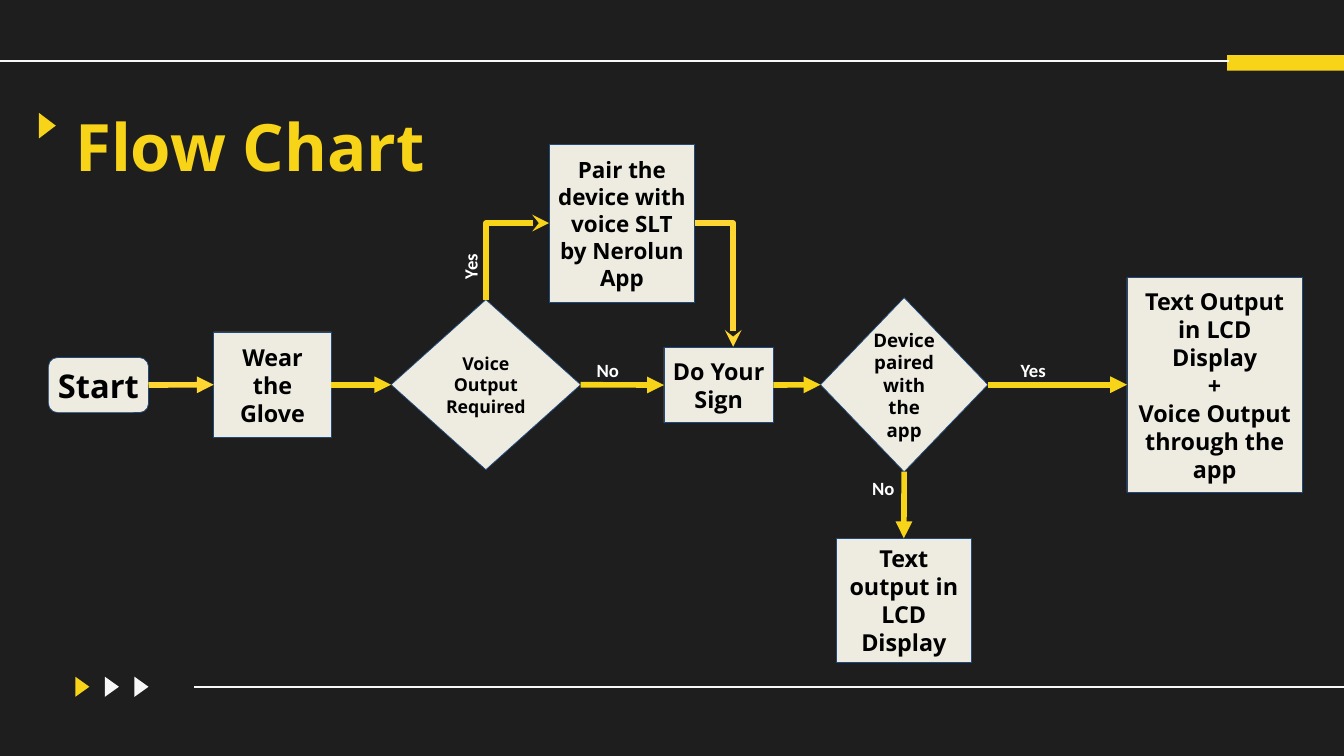
import pptx
import pptx.util
import pptx.dml.color
import pptx.enum.shapes
import pptx.enum.text
import pptx.oxml.ns
from lxml import etree

SCALE = 9144  # EMU per px, 100 px to the inch
SLIDE_SIZE = (2000, 1125)
KIND = pptx.enum.shapes.MSO_SHAPE
CONNECTOR = pptx.enum.shapes.MSO_CONNECTOR
ALIGN = pptx.enum.text.PP_ALIGN
TOP, LEFT, BOTTOM, RIGHT = range(4)  # connection sites of a box or diamond

THEME = {
    "background": "1E1E1E", "accent": "F8D418", "light_accent": "FED531",
    "rule": "F8F8F8", "box": "EEECE1", "outline": "1F497D",
    "ink": "000000", "label": "FFFFFF",
    "heading_font": "Open Sans", "label_font": "Calibri",
    "title_size": 70, "label_size": 20, "outline_width": 0.75, "arrow_width": 6,
    "inset": 10,
}

TITLE = ("Flow Chart", (112, 128, 632, 118))

# name: (preset, (left, top, width, height), size, paragraphs)
STEPS = {
    "start": (KIND.ROUNDED_RECTANGLE, (72, 532, 149, 82), 35, ["Start"]),
    "text only": (KIND.RECTANGLE, (1245, 801, 200, 184), 25,
                  ["Text output in LCD Display"]),
    "voice": (KIND.DIAMOND, (582, 446, 282, 253), 19, ["Voice Output Required"]),
    "sign": (KIND.RECTANGLE, (988, 517, 163, 112), 25, ["Do Your Sign"]),
    "text and voice": (KIND.RECTANGLE, (1677, 413, 261, 319), 25,
                       ["Text Output in LCD Display", "+",
                        "Voice Output through the app"]),
    "paired": (KIND.DIAMOND, (1221, 443, 249, 259), 20,
               ["Device paired with the app"]),
    "pair": (KIND.RECTANGLE, (817, 215, 217, 235), 24,
             ["Pair the device with voice SLT by Nerolun App"]),
    "glove": (KIND.RECTANGLE, (318, 494, 175, 157), 25, ["Wear the Glove"]),
}

# from step, site, to step, site, colour
ARROWS = [
    ("start", RIGHT, "glove", LEFT, "light_accent"),
    ("glove", RIGHT, "voice", LEFT, "accent"),
    ("voice", RIGHT, "sign", LEFT, "accent"),
    ("sign", RIGHT, "paired", LEFT, "accent"),
    ("paired", RIGHT, "text and voice", LEFT, "accent"),
    ("paired", BOTTOM, "text only", TOP, "accent"),
]

# begin point, end point, colour, end that carries the arrowhead
ELBOWS = [
    ((817, 332), (723, 446), "accent", "headEnd"),
    ((1034, 332), (1091, 516), "light_accent", "tailEnd"),
]

# text, box, rotation
LABELS = [
    ("No", (878, 524, 71, 54), 0),
    ("Yes", (664, 362, 72, 54), 270),
    ("Yes", (1509, 524, 71, 54), 0),
    ("No", (1288, 700, 71, 54), 0),
]

BAR = (1826, 82, 174, 23)
RULES = [(0, 90, 1829, 3), (288, 1021, 1712, 3)]
TITLE_MARKER = (58, 168, 25, 38)
FOOTER_MARKER = (112, 1007, 21, 30)
FOOTER_MARKER_STEP = 44
FOOTER_COLORS = ["accent", "rule", "rule"]


def emu(*lengths):
    return [pptx.util.Emu(length * SCALE) for length in lengths]


def rgb(name):
    return pptx.dml.color.RGBColor.from_string(THEME[name])


def paint(shape, fill, line=None):
    shape.shadow.inherit = False
    shape.fill.solid()
    shape.fill.fore_color.rgb = rgb(fill)
    if line:
        shape.line.color.rgb = rgb(line)
        shape.line.width = pptx.util.Pt(THEME["outline_width"])
    else:
        shape.line.fill.background()


def write(shape, paragraphs, size, color, font, inset, align=ALIGN.LEFT):
    frame = shape.text_frame
    frame.word_wrap = True
    frame.margin_left, frame.margin_top, frame.margin_right, frame.margin_bottom = emu(*[inset] * 4)
    for index, text in enumerate(paragraphs):
        paragraph = frame.add_paragraph() if index else frame.paragraphs[0]
        paragraph.alignment = align
        run = paragraph.add_run()
        run.text = text
        run.font.name = THEME[font]
        run.font.size = pptx.util.Pt(size)
        run.font.bold = True
        run.font.color.rgb = rgb(color)
    return frame


def add_outline(shapes, points, color):
    builder = shapes.build_freeform(*points[0], scale=SCALE)
    builder.add_line_segments(points[1:], close=True)
    paint(builder.convert_to_shape(), color)


def add_rule(shapes, left, top, width, height):
    right, bottom = left + width, top + height
    add_outline(shapes, [(left, top), (right, top), (right, bottom), (left, bottom)], "rule")


def add_marker(shapes, left, top, width, height, color):
    """Add a solid triangle pointing right."""
    add_outline(shapes, [(left, top), (left + width, top + height / 2), (left, top + height)], color)


def add_text(shapes, text, box, size, color, font, inset):
    shape = shapes.add_textbox(*emu(*box))
    frame = write(shape, [text], size, color, font, inset)
    frame.auto_size = pptx.enum.text.MSO_AUTO_SIZE.SHAPE_TO_FIT_TEXT
    return shape


def add_arrow(shapes, kind, begin, end, color, arrow_end, arrowhead):
    connector = shapes.add_connector(kind, *emu(*begin, *end))
    connector.line.color.rgb = rgb(color)
    connector.line.width = pptx.util.Pt(THEME["arrow_width"])
    qn = pptx.oxml.ns.qn
    properties = connector._element.spPr
    etree.SubElement(properties.find(qn("a:ln")), qn(f"a:{arrow_end}"), type=arrowhead)
    etree.SubElement(properties, qn("a:effectLst"))
    if kind == CONNECTOR.ELBOW:  # a single bend
        properties.find(qn("a:prstGeom")).set("prst", "bentConnector2")
    return connector


def main():
    presentation = pptx.Presentation()
    presentation.slide_width, presentation.slide_height = emu(*SLIDE_SIZE)
    slide = presentation.slides.add_slide(presentation.slide_layouts[6])
    slide.background.fill.solid()
    slide.background.fill.fore_color.rgb = rgb("background")
    shapes = slide.shapes

    paint(shapes.add_shape(KIND.RECTANGLE, *emu(*BAR)), "accent")
    for rule in RULES:
        add_rule(shapes, *rule)
    title = add_text(shapes, *TITLE, THEME["title_size"], "accent", "heading_font", 0)
    title.text_frame.paragraphs[0].line_spacing = 1.26
    add_marker(shapes, *TITLE_MARKER, "accent")
    footer = shapes.add_group_shape()
    left, *rest = FOOTER_MARKER
    for index, color in enumerate(FOOTER_COLORS):
        add_marker(footer.shapes, left + index * FOOTER_MARKER_STEP, *rest, color)

    steps = {}
    for name, (preset, box, size, paragraphs) in STEPS.items():
        shape = steps[name] = shapes.add_shape(preset, *emu(*box))
        paint(shape, "box", "outline")
        frame = write(shape, paragraphs, size, "ink", "heading_font", THEME["inset"], ALIGN.CENTER)
        frame.vertical_anchor = pptx.enum.text.MSO_ANCHOR.MIDDLE

    for source, source_site, target, target_site, color in ARROWS:
        arrow = add_arrow(shapes, CONNECTOR.STRAIGHT, (0, 0), (0, 0), color, "tailEnd", "triangle")
        arrow.begin_connect(steps[source], source_site)
        arrow.end_connect(steps[target], target_site)
    for begin, end, color, arrow_end in ELBOWS:
        add_arrow(shapes, CONNECTOR.ELBOW, begin, end, color, arrow_end, "stealth")
    for text, box, rotation in LABELS:
        label = add_text(shapes, text, box, THEME["label_size"], "label", "label_font", THEME["inset"])
        label.rotation = rotation

    presentation.save("out.pptx")


if __name__ == "__main__":
    main()
